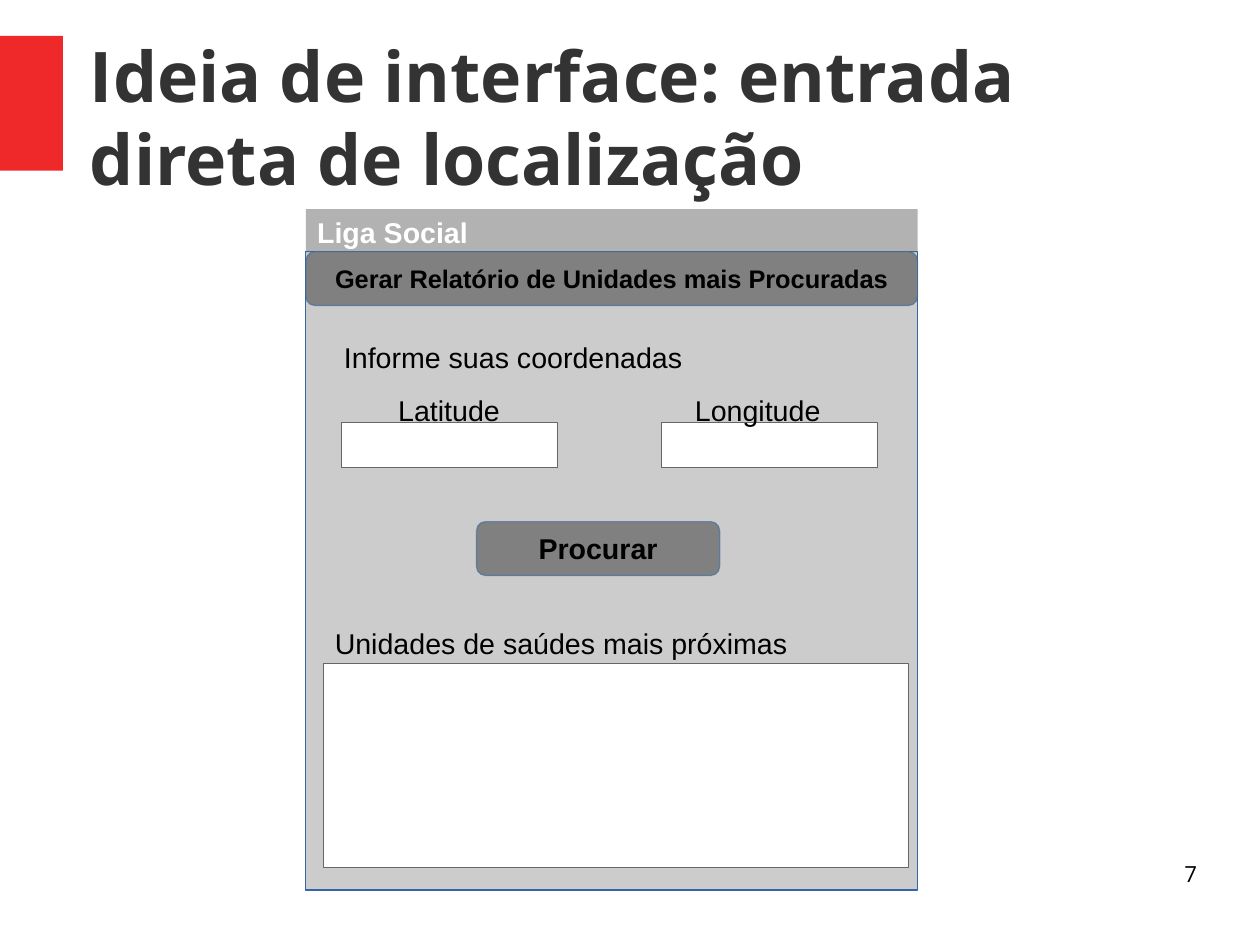
"""Builds a slide with a wireframe for searching by coordinates."""
from dataclasses import dataclass

from lxml import etree
from pptx import Presentation
from pptx.dml.color import RGBColor
from pptx.enum.shapes import MSO_SHAPE
from pptx.enum.text import MSO_ANCHOR, PP_ALIGN
from pptx.oxml.ns import qn
from pptx.util import Cm, Pt

RECTANGLE = MSO_SHAPE.RECTANGLE
ROUNDED = MSO_SHAPE.ROUNDED_RECTANGLE
TOP, MIDDLE = MSO_ANCHOR.TOP, MSO_ANCHOR.MIDDLE
LEFT, CENTER, RIGHT = PP_ALIGN.LEFT, PP_ALIGN.CENTER, PP_ALIGN.RIGHT

WIDTH, HEIGHT = Cm(28), Cm(21)
COLUMN, ROW = WIDTH / 100, HEIGHT / 100
PANEL_LEFT, PANEL_TOP, PANEL_WIDTH = 24.28, 26.63, 48.55
LABEL_HEIGHT, BUTTON_HEIGHT = 4.59, 5.7


@dataclass(frozen=True)
class Theme:
    """Holds the colours of the slide."""

    accent: str = "EF2929"
    panel: str = "CCCCCC"
    field: str = "FFFFFF"
    button: str = "808080"
    grey: str = "666666"
    blue: str = "3465A4"
    title: str = "333333"
    text: str = "000000"
    title_size: int = 44
    label_size: int = 18
    caption_size: int = 16
    number_size: int = 14


THEME = Theme()
LABEL = {"name": "Arial", "size": Pt(THEME.label_size), "bold": False, "color": THEME.text}
STRONG = {**LABEL, "bold": True}
CAPTION = {**STRONG, "size": Pt(THEME.caption_size)}
HEADER = {**STRONG, "color": THEME.field}
NUMBER = {**LABEL, "name": "Open Sans", "size": Pt(THEME.number_size)}
TITLE = {**NUMBER, "size": Pt(THEME.title_size), "bold": True, "color": THEME.title}


def place(left, top, width, height):
    """Convert grid columns and rows to slide lengths."""
    return [round(length) for length in (left * COLUMN, top * ROW, width * COLUMN, height * ROW)]


def set_opacity(fill, parent, color, percent):
    """Give a solid fill a colour and an opacity."""
    fill.solid()
    fill.fore_color.rgb = RGBColor.from_string(color)
    if percent < 100:
        element = parent.find(qn("a:solidFill"))[0]
        etree.SubElement(element, qn("a:alpha")).set("val", str(percent * 1000))


def write(shape, text, style, align=LEFT, anchor=TOP, wrap=True, inset=True):
    """Write one formatted paragraph into a shape."""
    frame = shape.text_frame
    frame.word_wrap = wrap
    frame.vertical_anchor = anchor
    if not inset:
        for side in ("left", "top", "right", "bottom"):
            setattr(frame, f"margin_{side}", 0)
    paragraph = frame.paragraphs[0]
    paragraph.alignment = align
    run = paragraph.add_run()
    run.text = text
    for name, value in style.items():
        if name == "color":
            run.font.color.rgb = RGBColor.from_string(value)
        else:
            setattr(run.font, name, value)


def add_box(slide, area, fill, line=None, kind=RECTANGLE, opacity=100, line_opacity=100):
    """Add a filled preset shape with an optional hairline."""
    shape = slide.shapes.add_shape(kind, *place(*area))
    shape.shadow.inherit = False
    properties = shape.element.spPr
    set_opacity(shape.fill, properties, fill, opacity)
    if line:
        shape.line.width = Pt(0)
        shape.line.fill.solid()
        set_opacity(shape.line.fill, properties.find(qn("a:ln")), line, line_opacity)
    else:
        shape.line.fill.background()
    return shape


def add_text(slide, area, text, style, **layout):
    """Add a text box."""
    write(slide.shapes.add_textbox(*place(*area)), text, style, **layout)


def add_field(slide, area):
    """Add an empty input field."""
    add_box(slide, area, THEME.field, THEME.grey)


def add_button(slide, area, text, style):
    """Add a rounded button with a centred caption."""
    button = add_box(slide, area, THEME.button, THEME.blue, ROUNDED, line_opacity=60)
    write(button, text, style, align=CENTER, anchor=MIDDLE, wrap=False)


def main():
    """Build and save the presentation."""
    presentation = Presentation()
    presentation.slide_width, presentation.slide_height = WIDTH, HEIGHT
    slide = presentation.slides.add_slide(presentation.slide_layouts[6])

    add_box(slide, (0, 3.8, 4.99, 14.27), THEME.accent)
    add_text(slide, (7.14, 2.2, 87.84, 20.19),
             "Ideia de interface: entrada direta de localização",
             TITLE, anchor=MIDDLE, inset=False)

    add_box(slide, (PANEL_LEFT, PANEL_TOP, PANEL_WIDTH, 67.55), THEME.panel, THEME.blue)
    add_field(slide, (25.66, 70.18, 46.44, 21.64))
    add_text(slide, (25.68, 65.66, 40.02, LABEL_HEIGHT),
             "Unidades de saúdes mais próximas", LABEL)
    header = add_box(slide, (PANEL_LEFT, 22.13, PANEL_WIDTH, LABEL_HEIGHT),
                     THEME.grey, opacity=50)
    write(header, "Liga Social", HEADER)

    add_text(slide, (26.41, 35.43, 31.4, 6.41), "Informe suas coordenadas", LABEL)
    for text, field_left, label_left, label_width in (
        ("Latitude", 27.11, 30.71, 11.43),
        ("Longitude", 52.5, 54.26, 14.25),
    ):
        add_field(slide, (field_left, 44.7, 17.15, 4.75))
        add_text(slide, (label_left, 40.99, label_width, LABEL_HEIGHT), text, LABEL)

    add_button(slide, (37.82, 55.2, 19.3, BUTTON_HEIGHT), "Procurar", STRONG)
    add_button(slide, (PANEL_LEFT, PANEL_TOP, PANEL_WIDTH, BUTTON_HEIGHT),
               "Gerar Relatório de Unidades mais Procuradas", CAPTION)
    add_text(slide, (71.69, 91.05, 23.32, 6.89), "7", NUMBER, align=RIGHT, inset=False)
    presentation.save("out.pptx")


if __name__ == "__main__":
    main()
